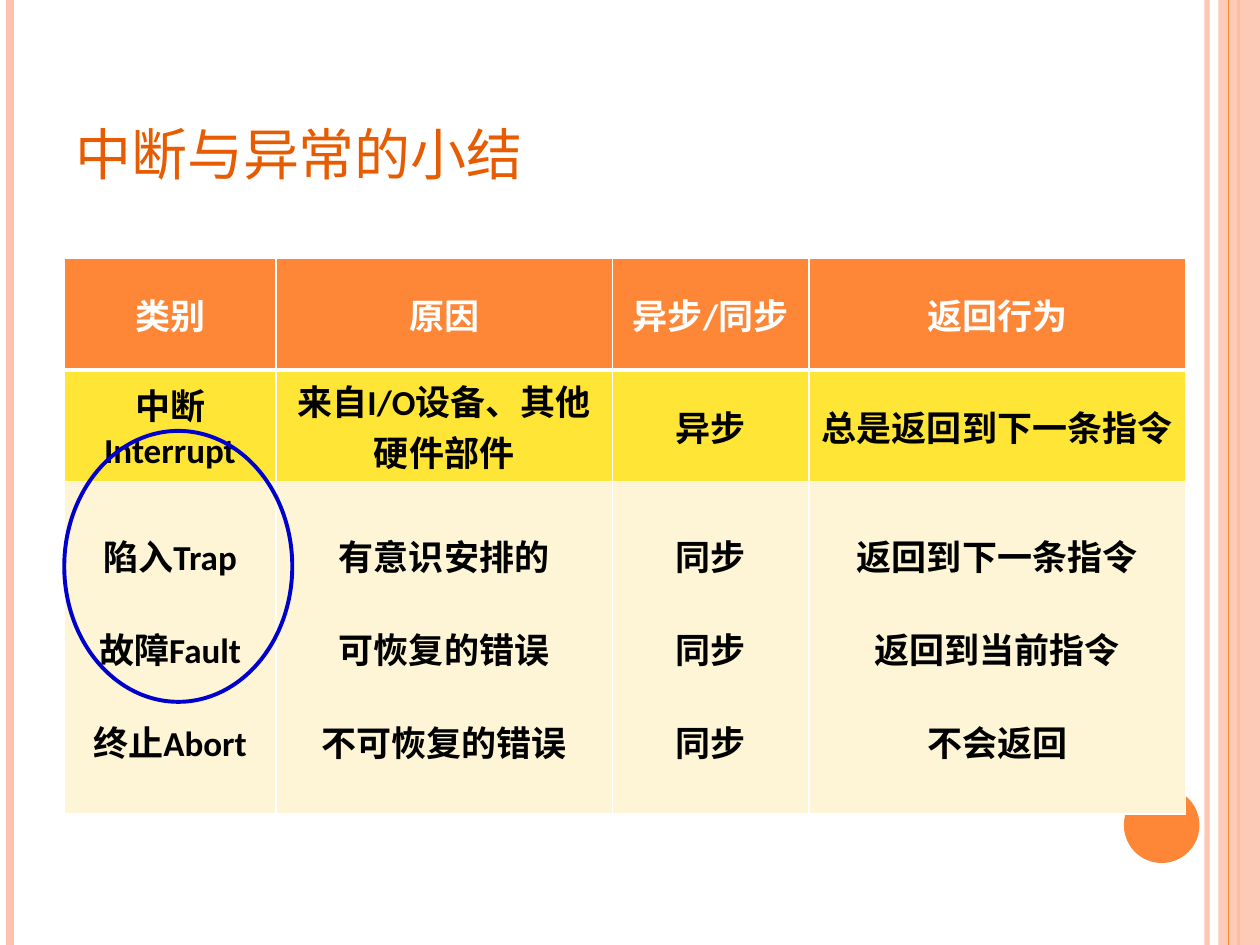
from lxml import etree
from pptx import Presentation
from pptx.dml.color import RGBColor
from pptx.enum.shapes import MSO_CONNECTOR, MSO_SHAPE
from pptx.enum.text import MSO_ANCHOR, PP_ALIGN
from pptx.oxml.ns import qn
from pptx.util import Inches, Pt

LINE = MSO_CONNECTOR.STRAIGHT
RECT, OVAL = MSO_SHAPE.RECTANGLE, MSO_SHAPE.OVAL
MID, LOW = MSO_ANCHOR.MIDDLE, MSO_ANCHOR.BOTTOM
LEFT, CENTER = PP_ALIGN.LEFT, PP_ALIGN.CENTER

HUES = {"white": "FFFFFF", "black": "000000", "pink": "FEC3AE", "orange": "FE8637",
        "rust": "E75C01", "yellow": "FFE636", "cream": "FDF5D5", "blue": "0000CC"}


class Deck:
    """Style and current slide; lengths are percent of the slide's size."""
    sans, latin = "Noto Sans CJK SC", "Calibri"

    def __init__(self, wide, high):
        self.prs = Presentation()
        self.prs.slide_width, self.prs.slide_height = Inches(wide), Inches(high)
        self.slide = self.prs.slides.add_slide(self.prs.slide_layouts[5])

    def x(self, part):
        return round(self.prs.slide_width * part / 100)

    def y(self, part):
        return round(self.prs.slide_height * part / 100)

    def box(self, left, top, wide, high):
        return self.x(left), self.y(top), self.x(wide), self.y(high)

    def hue(self, name):
        return RGBColor.from_string(HUES[name])

    def fade(self, shape, alpha):
        tint = shape._element.spPr.find(".//" + qn("a:srgbClr"))
        etree.SubElement(tint, qn("a:alpha")).set("val", str(alpha * 1000))

    def font(self, para, name, size, hue, bold=False):
        font = para.font
        font.name, font.size, font.bold = name, Pt(size), bold
        font.color.rgb = self.hue(hue)

    def title(self, text, *box):
        shape = self.slide.shapes.title
        shape.left, shape.top, shape.width, shape.height = self.box(*box)
        frame = shape.text_frame
        frame.text, frame.vertical_anchor = text, LOW
        para = frame.paragraphs[0]
        para.alignment = LEFT
        self.font(para, self.sans, 40, "rust")
        para.font._element.set("cap", "small")

    def rule(self, left, hue, width, alpha=100):
        line = self.slide.shapes.add_connector(LINE, self.x(left), 0, self.x(left), self.y(100))
        line.line.color.rgb, line.line.width = self.hue(hue), Pt(width)
        etree.SubElement(line._element.spPr, qn("a:effectLst"))
        if alpha < 100:
            self.fade(line, alpha)

    def shape(self, kind, *box, fill=None, edge=None, alpha=100):
        shape = self.slide.shapes.add_shape(kind, *self.box(*box))
        shape.shadow.inherit = False
        if fill:
            shape.fill.solid()
            shape.fill.fore_color.rgb = self.hue(fill)
        else:
            shape.fill.background()
        if edge:
            shape.line.color.rgb, shape.line.width = self.hue(edge), Pt(2.25)
        else:
            shape.line.fill.background()
        if alpha < 100:
            self.fade(shape, alpha)

    def edges(self, cell, base):
        props = cell._tc.get_or_add_tcPr()
        for i, (side, width) in enumerate([("L", 1), ("R", 1), ("T", 1), ("B", base)]):
            line = etree.Element(qn("a:ln" + side), w=str(Pt(width)))
            fill = etree.SubElement(line, qn("a:solidFill"))
            etree.SubElement(fill, qn("a:srgbClr")).set("val", HUES["white"])
            props.insert(i, line)

    def cell(self, cell, text, fill, hue, gap, base):
        cell.fill.solid()
        cell.fill.fore_color.rgb = self.hue(fill)
        cell.vertical_anchor = MID
        cell.margin_top = cell.margin_bottom = Inches(0.04)
        cell.text = text
        for i, para in enumerate(cell.text_frame.paragraphs):
            para.alignment = CENTER
            if i and gap:
                para.space_before = Pt(gap)
            self.font(para, self.latin, 20, hue, True)
        self.edges(cell, base)

    def table(self, left, top, cols, rows, data, looks):
        box = self.box(left, top, sum(cols), sum(rows))
        grid = self.slide.shapes.add_table(len(rows), len(cols), *box).table
        for col, wide in zip(grid.columns, cols):
            col.width = self.x(wide)
        for row, high, texts, look in zip(grid.rows, rows, data, looks):
            row.height = self.y(high)
            for cell, text in zip(row.cells, texts):
                self.cell(cell, text, *look)


def main():
    deck = Deck(10, 7.5)

    # Side stripes and corner dot
    deck.rule(95.8, "pink", 3, 93)
    deck.rule(0.8, "pink", 4.5)
    deck.rule(98.3, "orange", 1.5)
    deck.shape(RECT, 96.7, 0, 3.3, 100, fill="pink", alpha=87)
    deck.rule(97.5, "orange", 0.75)
    deck.shape(OVAL, 89.2, 83.33, 6, 8, fill="orange")

    deck.title("中断与异常的小结", 5, 4, 81.7, 16.67)

    # Summary table: fill, text colour, paragraph gap, bottom border
    data = [
        ["类别", "原因", "异步/同步", "返回行为"],
        ["中断\nInterrupt", "来自I/O设备、其他硬件部件", "异步", "总是返回到下一条指令"],
        ["陷入Trap\n故障Fault\n终止Abort",
         "有意识安排的\n可恢复的错误\n不可恢复的错误",
         "同步\n同步\n同步",
         "返回到下一条指令\n返回到当前指令\n不会返回"],
    ]
    looks = [("orange", "white", 0, 3), ("yellow", "black", 0, 1), ("cream", "black", 24, 1)]
    deck.table(5.1, 27.33, [16.8, 26.7, 15.6, 29.9], [11.75, 11.75, 35.2], data, looks)

    # Ring around trap and fault
    deck.shape(OVAL, 5.1, 45.6, 18.1, 28.67, edge="blue")

    deck.prs.save("out.pptx")


if __name__ == "__main__":
    main()
